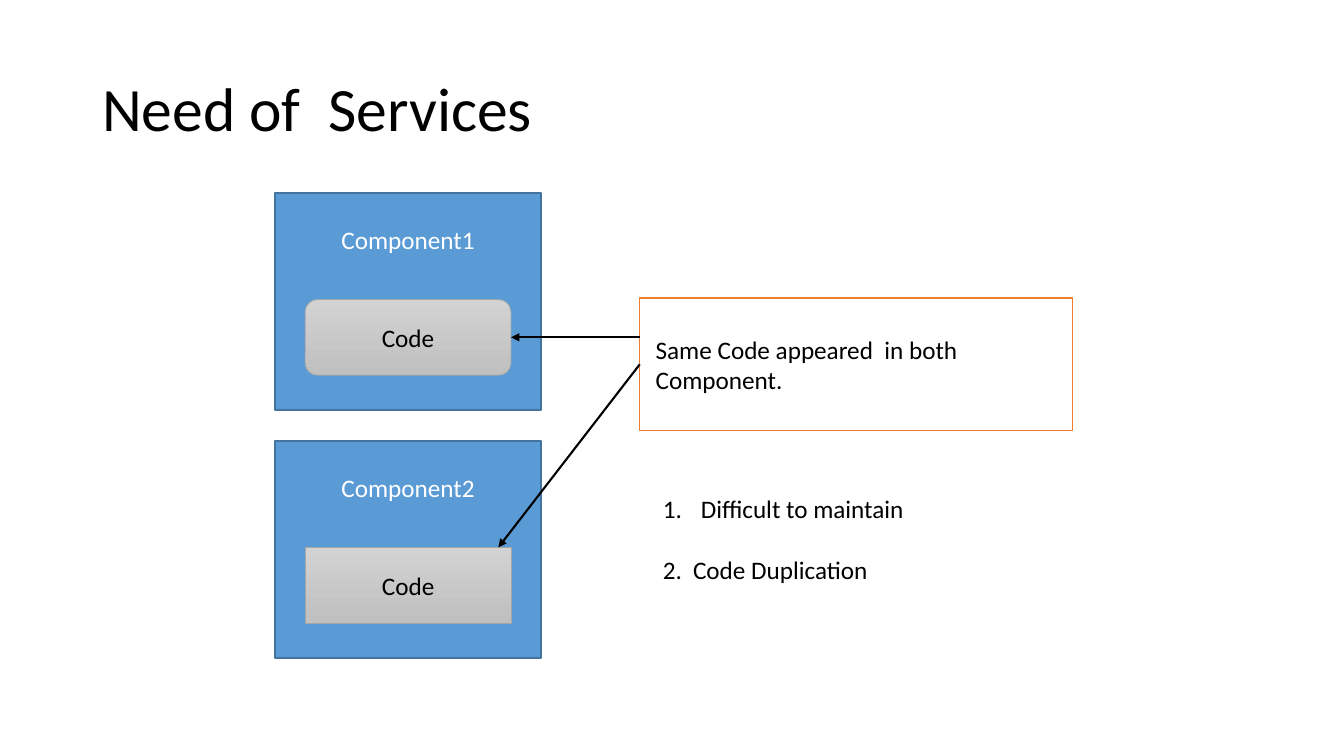
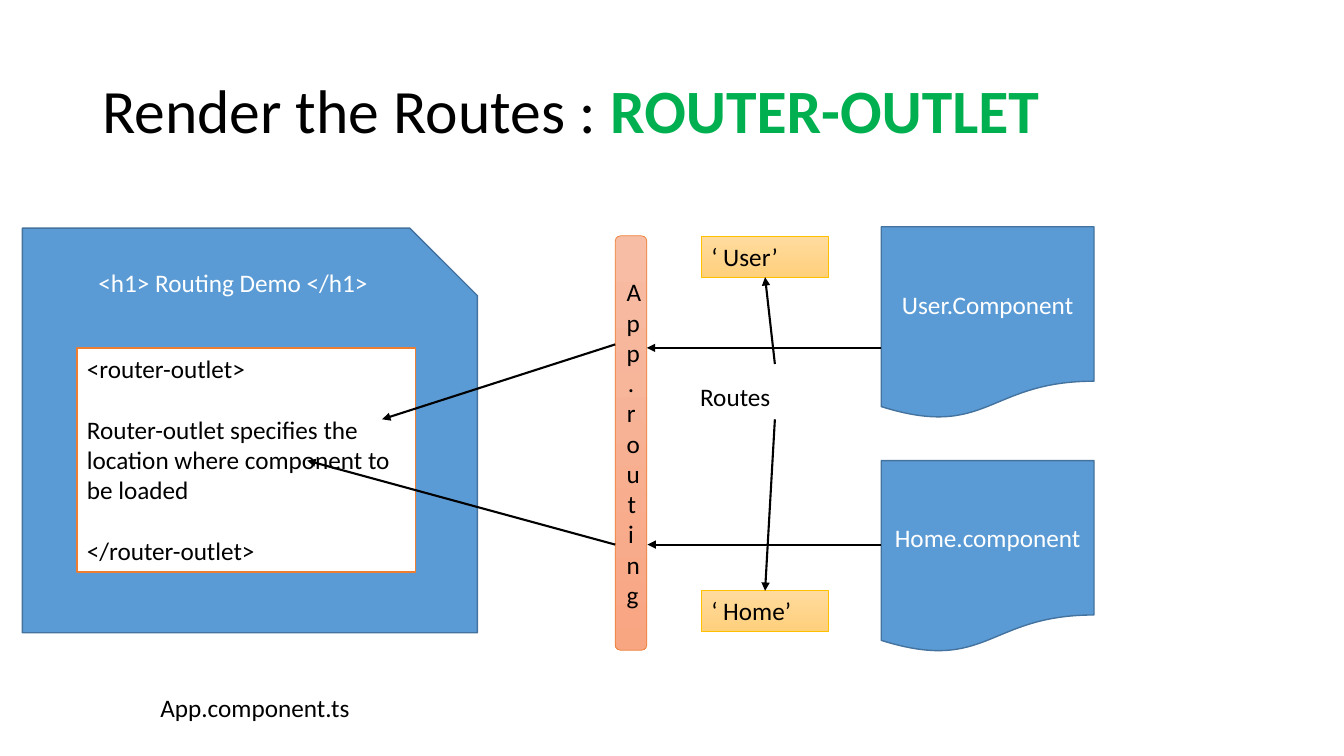
from lxml.etree import SubElement
from pptx import Presentation
from pptx.dml.color import RGBColor
from pptx.enum.shapes import MSO_CONNECTOR, MSO_SHAPE
from pptx.enum.text import MSO_ANCHOR, PP_ALIGN
from pptx.oxml.ns import qn
from pptx.util import Pt

BLACK = RGBColor(0x00, 0x00, 0x00)
WHITE = RGBColor(0xFF, 0xFF, 0xFF)
BLUE = RGBColor(0x5B, 0x9B, 0xD5)
DARK_BLUE = RGBColor(0x43, 0x73, 0x9E)
ORANGE = RGBColor(0xED, 0x7D, 0x31)
GOLD = RGBColor(0xFF, 0xC0, 0x00)
GRAY = RGBColor(0xA5, 0xA5, 0xA5)
GREEN = RGBColor(0x00, 0xB0, 0x50)
GRAY_FADE = (RGBColor(0xD2, 0xD2, 0xD2), RGBColor(0xC0, 0xC0, 0xC0))
PEACH_FADE = (RGBColor(0xF7, 0xBD, 0xA5), RGBColor(0xF8, 0xA5, 0x82))
GOLD_FADE = (RGBColor(0xFF, 0xDB, 0x9E), RGBColor(0xFF, 0xD0, 0x7C))
FONT = "Calibri"
BODY_SIZE = 18
TITLE_SIZE = 44
LINE_HEIGHT = 22
TOP, LEFT, BOTTOM, RIGHT = 0, 1, 2, 3


def style(paragraph, color=BLACK, size=BODY_SIZE):
    """Set the font of a whole paragraph."""
    paragraph.font.name = FONT
    paragraph.font.size = Pt(size)
    paragraph.font.color.rgb = color


def write(frame, lines, color=BLACK, align=PP_ALIGN.LEFT,
          anchor=MSO_ANCHOR.TOP, gap=0):
    """Fill a text frame with one paragraph per line."""
    frame.word_wrap = True
    frame.vertical_anchor = anchor
    for index, line in enumerate(lines):
        paragraph = frame.add_paragraph() if index else frame.paragraphs[0]
        paragraph.text = line
        paragraph.alignment = align
        paragraph.space_before = Pt(gap if index else 0)
        style(paragraph, color)


def add_text(slide, box, lines, gap=0):
    """Add a plain text box and return its frame."""
    frame = slide.shapes.add_textbox(*map(Pt, box)).text_frame
    write(frame, lines, gap=gap)
    return frame


def add_title(slide, top, text, highlight=""):
    """Add the slide title, with an optional green ending."""
    frame = slide.shapes.add_textbox(Pt(66), Pt(top), Pt(828), Pt(104)).text_frame
    write(frame, [text], anchor=MSO_ANCHOR.MIDDLE)
    heading = frame.paragraphs[0]
    heading.line_spacing = 0.9
    style(heading, size=TITLE_SIZE)
    if highlight:
        ending = heading.add_run()
        ending.text = highlight
        ending.font.bold = True
        ending.font.color.rgb = GREEN


def add_box(slide, kind, box, fill, outline, width=1):
    """Add an outlined shape with a solid fill or a vertical fade."""
    shape = slide.shapes.add_shape(kind, *map(Pt, box))
    shape.shadow.inherit = False
    shape.line.color.rgb = outline
    shape.line.width = Pt(width)
    if isinstance(fill, RGBColor):
        shape.fill.solid()
        shape.fill.fore_color.rgb = fill
    else:
        shape.fill.gradient()
        shape.fill.gradient_angle = 270
        for stop, color in zip(shape.fill.gradient_stops, fill):
            stop.color.rgb = color
    return shape


def add_panel(slide, kind, box, label, anchor=MSO_ANCHOR.TOP, inset=3.6):
    """Add a blue panel with a centred white label."""
    panel = add_box(slide, kind, box, BLUE, DARK_BLUE)
    panel.text_frame.margin_top = Pt(inset)
    write(panel.text_frame, [label], WHITE, PP_ALIGN.CENTER, anchor)


def add_chip(slide, kind, box, label, fade, outline):
    """Add a small faded shape with a centred black label."""
    chip = add_box(slide, kind, box, fade, outline, 0.5)
    write(chip.text_frame, [label], align=PP_ALIGN.CENTER, anchor=MSO_ANCHOR.MIDDLE)
    return chip


def add_arrow(slide, start, end, source=None, target=None):
    """Draw an arrow, joined to a (shape, side) pair where one is given."""
    arrow = slide.shapes.add_connector(
        MSO_CONNECTOR.STRAIGHT, *map(Pt, (*start, *end)))
    if source:
        arrow.begin_connect(*source)
    if target:
        arrow.end_connect(*target)
    arrow.line.color.rgb = BLACK
    arrow.line.width = Pt(1.5)
    SubElement(arrow.line._get_or_add_ln(), qn("a:tailEnd"), type="triangle")
    SubElement(arrow._element.spPr, qn("a:effectLst"))


def number(paragraph, value, indent):
    """Give a paragraph a hanging list number."""
    properties = paragraph._p.get_or_add_pPr()
    properties.set("marL", str(Pt(indent)))
    properties.set("indent", str(-Pt(indent)))
    SubElement(properties, qn("a:buFont"), typeface="+mj-lt")
    SubElement(properties, qn("a:buAutoNum"), type="arabicPeriod", startAt=str(value))
    font = properties.find(qn("a:defRPr"))
    if font is not None:
        properties.append(font)


def build_need(slide):
    """Show the same code repeated in two components."""
    add_title(slide, 27.5, "Need of  Services")
    codes = []
    for index, kind in enumerate((MSO_SHAPE.ROUNDED_RECTANGLE, MSO_SHAPE.RECTANGLE)):
        top = 138 + 177 * index
        add_panel(slide, MSO_SHAPE.RECTANGLE, (196.5, top, 190, 155),
                  f"Component{index + 1}", inset=22.5)
        codes.append(add_chip(slide, kind, (218, top + 76, 147, 54),
                              "Code", GRAY_FADE, GRAY))

    remark = add_box(slide, MSO_SHAPE.RECTANGLE, (457, 213, 309, 94.5), WHITE, ORANGE)
    remark.text_frame.margin_left = Pt(11.3)
    write(remark.text_frame, ["Same Code appeared  in both", "Component."],
          anchor=MSO_ANCHOR.MIDDLE)
    add_arrow(slide, (457, 241), (365, 241), target=(codes[0], RIGHT))
    add_arrow(slide, (457, 260), (356, 391), source=(remark, LEFT))

    drawbacks = add_text(slide, (466.5, 349, 344, 73),
                         ["Difficult to maintain", "Code Duplication"], LINE_HEIGHT)
    for value, (drawback, indent) in enumerate(zip(drawbacks.paragraphs, (27, 21.5)), 1):
        number(drawback, value, indent)


def build_outlet(slide):
    """Show how routed components are loaded into the outlet."""
    add_title(slide, 29, "Render the Routes : ", "ROUTER-OUTLET")
    add_panel(slide, MSO_SHAPE.SNIP_1_RECTANGLE, (16, 163, 325, 289),
              "<h1> Routing Demo </h1>")
    add_text(slide, (107.5, 491, 316, 29), ["App.component.ts"])
    outlet = add_box(slide, MSO_SHAPE.RECTANGLE, (55, 248.5, 242, 160), WHITE, ORANGE)
    write(outlet.text_frame, [
        "<router-outlet>",
        "Router-outlet specifies the location where component to be loaded",
        "</router-outlet>"], gap=LINE_HEIGHT)

    add_chip(slide, MSO_SHAPE.ROUNDED_RECTANGLE, (439.5, 168.5, 22.5, 296),
             "App.routing", PEACH_FADE, ORANGE)
    for top, label in ((162, "User.Component"), (329, "Home.component")):
        add_panel(slide, MSO_SHAPE.FLOWCHART_DOCUMENT, (629.5, top, 152, 137.5),
                  label, MSO_ANCHOR.MIDDLE)

    add_text(slide, (493, 268.5, 76, 29), ["Routes"])
    for top, label, start, side in ((169, "‘ User’", 260, BOTTOM),
                                    (422, "‘ Home’", 299.5, TOP)):
        route = add_box(slide, MSO_SHAPE.RECTANGLE, (501, top, 91, 29),
                        GOLD_FADE, GOLD, 0.5)
        write(route.text_frame, [label])
        add_arrow(slide, (553.5, start), (546.5, top), target=(route, side))

    for start, end in (((629.5, 248.5), (462, 248.5)), ((439.5, 246), (273, 299.5)),
                       ((629.5, 389), (462.5, 389)), ((439.5, 389), (219.5, 329))):
        add_arrow(slide, start, end)


def main():
    """Build and save the presentation."""
    deck = Presentation()
    deck.slide_width, deck.slide_height = Pt(960), Pt(540)
    for build in (build_need, build_outlet):
        build(deck.slides.add_slide(deck.slide_layouts[6]))
    deck.save("out.pptx")


if __name__ == "__main__":
    main()
